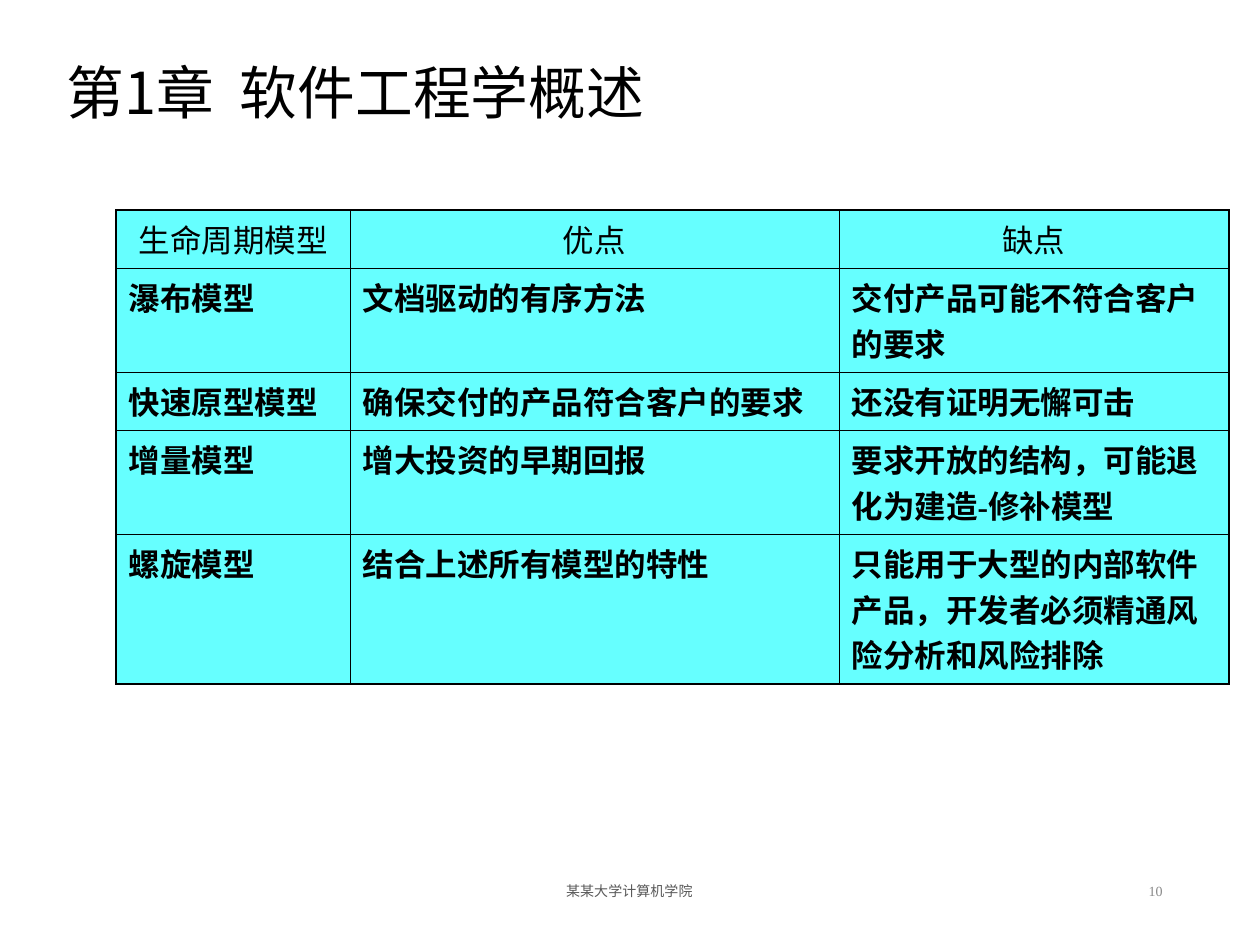
import pptx
import pptx.util
import pptx.dml.color
import pptx.enum.text
import pptx.oxml.ns
from lxml import etree

EMU_PER_PIXEL = 914400 / 126
COLORS = {"ink": "000000", "cell": "66FFFF", "footer": "595959", "number": "898989"}
SANS, SERIF = "Noto Sans CJK SC", "Times New Roman"
ALIGN = pptx.enum.text.PP_ALIGN
ANCHOR = pptx.enum.text.MSO_ANCHOR
THIN, THICK = 0.45, 1.08


def emu(pixels):
    return pptx.util.Emu(round(pixels * EMU_PER_PIXEL))


def color(name):
    return pptx.dml.color.RGBColor.from_string(COLORS[name])


class SlideBuilder:
    def __init__(self, presentation):
        layout = presentation.slide_layouts.get_by_name("Title Only")
        self.slide = presentation.slides.add_slide(layout)

    def add_run(self, frame, text, size, font=SERIF, ink="ink", bold=False, align=ALIGN.LEFT):
        frame.word_wrap = True
        paragraph = frame.paragraphs[0]
        paragraph.alignment = align
        run = paragraph.add_run()
        run.text = text
        run.font.size = pptx.util.Pt(size)
        run.font.name = font
        run.font.bold = bold
        run.font.color.rgb = color(ink)
        east_asian = etree.SubElement(run.font._element, pptx.oxml.ns.qn("a:ea"))
        east_asian.set("typeface", SANS)
        return paragraph

    def title(self, text, left, top, width, height):
        shape = self.slide.shapes.title
        shape.left, shape.top, shape.width, shape.height = map(emu, (left, top, width, height))
        frame = shape.text_frame
        frame.auto_size = pptx.enum.text.MSO_AUTO_SIZE.NONE
        frame.vertical_anchor = ANCHOR.MIDDLE
        self.add_run(frame, text, 33, SANS).line_spacing = 0.9

    def text(self, text, left, top, width, height, ink, align):
        shape = self.slide.shapes.add_textbox(*map(emu, (left, top, width, height)))
        self.add_run(shape.text_frame, text, 8, ink=ink, align=align)

    def border(self, cell, side, width):
        properties = cell._tc.get_or_add_tcPr()
        line = etree.SubElement(properties, pptx.oxml.ns.qn("a:ln" + side))
        line.set("w", str(pptx.util.Pt(width)))
        fill = etree.SubElement(line, pptx.oxml.ns.qn("a:solidFill"))
        etree.SubElement(fill, pptx.oxml.ns.qn("a:srgbClr")).set("val", COLORS["ink"])

    def table(self, rows, left, top, widths, heights):
        table = self.slide.shapes.add_table(
            len(heights), len(widths), emu(left), emu(top),
            emu(sum(widths)), emu(sum(heights))).table
        table.first_row = table.horz_banding = False
        for column, width in zip(table.columns, widths):
            column.width = emu(width)
        for row, height in zip(table.rows, heights):
            row.height = emu(height)
        last_row, last_column = len(heights) - 1, len(widths) - 1
        for i, texts in enumerate(rows):
            for j, text in enumerate(texts):
                cell = table.cell(i, j)
                # Thick outside edge, thin inside rules
                edges = {"L": j == 0, "R": j == last_column, "T": i == 0, "B": i == last_row}
                for side, outside in edges.items():
                    self.border(cell, side, THICK if outside else THIN)
                cell.fill.solid()
                cell.fill.fore_color.rgb = color("cell")
                header = i == 0
                paragraph = self.add_run(cell.text_frame, text, 18, bold=not header,
                                         align=ALIGN.CENTER if header else ALIGN.LEFT)
                paragraph.space_before = pptx.util.Pt(4.5)


presentation = pptx.Presentation()
presentation.slide_width, presentation.slide_height = emu(1260), emu(945)
builder = SlideBuilder(presentation)

# Title
builder.title("第1章  软件工程学概述", 54, 4, 1087, 183)

# Footer and slide number
builder.text("某某大学计算机学院", 417, 876, 425, 50, "footer", ALIGN.CENTER)
builder.text("10", 891, 876, 284, 50, "number", ALIGN.RIGHT)

# Comparison of life cycle models
MODELS = [
    ("生命周期模型", "优点", "缺点"),
    ("瀑布模型", "文档驱动的有序方法", "交付产品可能不符合客户的要求"),
    ("快速原型模型", "确保交付的产品符合客户的要求", "还没有证明无懈可击"),
    ("增量模型", "增大投资的早期回报", "要求开放的结构，可能退化为建造-修补模型"),
    ("螺旋模型", "结合上述所有模型的特性",
     "只能用于大型的内部软件产品，开发者必须精通风险分析和风险排除"),
]
builder.table(MODELS, 116, 210, (234, 489, 390), (58, 104, 58, 104, 150))

presentation.save("out.pptx")
